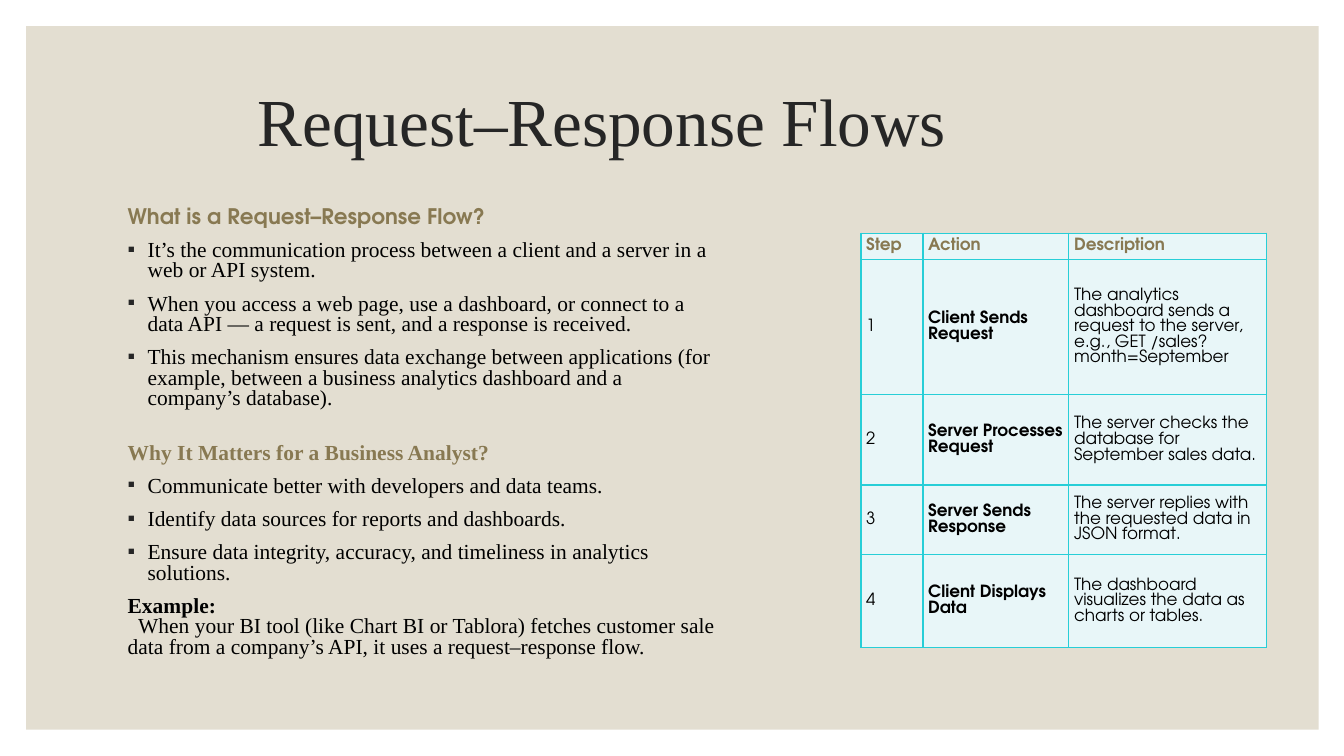
"""Build the Request–Response Flows slide."""
from dataclasses import dataclass

from lxml.etree import SubElement
from pptx import Presentation
from pptx.dml.color import RGBColor as Rgb
from pptx.enum.shapes import MSO_SHAPE as Preset
from pptx.enum.text import MSO_ANCHOR as Anchor
from pptx.enum.text import MSO_AUTO_SIZE as AutoSize
from pptx.enum.text import PP_ALIGN as Align
from pptx.oxml.ns import qn
from pptx.util import Pt

PX = 9525


@dataclass(frozen=True)
class Theme:
    """Colours, fonts and type sizes."""
    panel: str = "E3DED1"
    ink: str = "262626"
    black: str = "000000"
    accent: str = "887952"
    cell: str = "E8F6F8"
    border: str = "27CED7"
    serif: str = "Times New Roman"
    sans: str = "TeX Gyre Adventor"
    title_size: float = 48
    body_size: float = 15.3
    table_size: float = 12


THEME = Theme()


@dataclass(frozen=True)
class Style:
    """Look of one run."""
    size: float
    font: str = THEME.serif
    colour: str = THEME.black
    bold: bool = False


@dataclass(frozen=True)
class Entry:
    """One paragraph of the body."""
    text: str
    style: Style
    bullet: bool = False
    before: float = 9
    indent: int = 0
    tab: int = 0


@dataclass(frozen=True)
class Step:
    """One row of the table."""
    number: str
    action: str
    description: str


TITLE = Style(THEME.title_size, colour=THEME.ink)
PLAIN = Style(THEME.body_size)
STRONG = Style(THEME.body_size, bold=True)
HEADING = Style(THEME.body_size, colour=THEME.accent, bold=True)
SANS_HEADING = Style(THEME.body_size, THEME.sans, THEME.accent, True)
COLUMN_HEAD = Style(THEME.table_size, THEME.sans, THEME.accent, True)
CELL = Style(THEME.table_size, THEME.sans)
CELL_STRONG = Style(THEME.table_size, THEME.sans, bold=True)

ENTRIES = [
    Entry("What is a Request–Response Flow?", SANS_HEADING, before=0),
    Entry("It’s the communication process between a client and a server in a web or API system.",
          PLAIN, True),
    Entry("When you access a web page, use a dashboard, or connect to a data API — "
          "a request is sent, and a response is received.", PLAIN, True),
    Entry("This mechanism ensures data exchange between applications (for example, "
          "between a business analytics dashboard and a company’s database).", PLAIN, True),
    Entry("Why It Matters for a Business Analyst?", HEADING, before=24),
    Entry("Communicate better with developers and data teams.", PLAIN, True),
    Entry("Identify data sources for reports and dashboards.", PLAIN, True),
    Entry("Ensure data integrity, accuracy, and timeliness in analytics solutions.", PLAIN, True),
    Entry("Example:", STRONG),
    Entry("When your BI tool (like Chart BI or Tablora) fetches customer sale\tdata from "
          "a company’s API, it uses a request–response flow.", PLAIN,
          before=0, indent=10, tab=73),
]
HEADER = Step("Step", "Action", "Description")
STEPS = [
    Step("1", "Client Sends Request", "The analytics dashboard sends a request to the server, "
         "e.g., GET /sales?month=September"),
    Step("2", "Server Processes Request",
         "The server checks the database for September sales data."),
    Step("3", "Server Sends Response",
         "The server replies with the requested data in JSON format."),
    Step("4", "Client Displays Data", "The dashboard visualizes the data as charts or tables."),
]
COLUMNS = [59, 139, 188]
ROWS = [25, 129, 86, 66, 89]


def place(shape, left: int, top: int, width: int, height: int) -> None:
    """Move and size a shape in px."""
    shape.left, shape.top = left * PX, top * PX
    shape.width, shape.height = width * PX, height * PX


def add_span(para, text: str, style: Style) -> None:
    """Add one formatted run."""
    span = para.add_run()
    span.text = text
    span.font.size = Pt(style.size)
    span.font.name = style.font
    span.font.bold = style.bold
    span.font.color.rgb = Rgb.from_string(style.colour)


def set_indent(para, margin: int, indent: int, bullet: bool = False, tab: int = 0) -> None:
    """Set the indents, the bullet and the tab stop of a paragraph."""
    props = para._p.get_or_add_pPr()
    props.set("marL", str(margin * PX))
    props.set("indent", str(indent * PX))
    if bullet:
        SubElement(SubElement(props, qn("a:buClr")), qn("a:srgbClr"), val=THEME.ink)
        SubElement(props, qn("a:buChar"), char="▪")
    else:
        SubElement(props, qn("a:buNone"))
    if tab:
        SubElement(SubElement(props, qn("a:tabLst")), qn("a:tab"), pos=str(tab * PX), algn="l")


def draw_panel(page) -> None:
    """Draw the panel behind the text."""
    panel = page.shapes.add_shape(Preset.RECTANGLE, 25 * PX, 25 * PX, 1231 * PX, 670 * PX)
    panel.shadow.inherit = False
    panel.fill.solid()
    panel.fill.fore_color.rgb = Rgb.from_string(THEME.panel)
    panel.line.fill.background()
    page.shapes.title._element.addprevious(panel._element)


def fill_title(title) -> None:
    """Write the title."""
    place(title, 112, 67, 1056, 103)
    frame = title.text_frame
    frame.auto_size, frame.word_wrap = AutoSize.NONE, True
    frame.vertical_anchor = Anchor.MIDDLE
    para = frame.paragraphs[0]
    set_indent(para, 0, 124)
    para.alignment, para.line_spacing = Align.LEFT, 0.9
    add_span(para, "Request–Response Flows", TITLE)


def fill_body(body, entries: list[Entry]) -> None:
    """Write the headings and lists."""
    place(body, 112, 193, 579, 447)
    frame = body.text_frame
    frame.auto_size, frame.word_wrap = AutoSize.NONE, True
    frame.vertical_anchor = Anchor.TOP
    for index, entry in enumerate(entries):
        para = frame.add_paragraph() if index else frame.paragraphs[0]
        margin, indent = (19, -19) if entry.bullet else (0, entry.indent)
        set_indent(para, margin, indent, entry.bullet, entry.tab)
        para.line_spacing, para.space_before = 0.8, Pt(entry.before)
        add_span(para, entry.text, entry.style)


def fill_cell(cell, text: str, style: Style) -> None:
    """Write, fill and border one table cell."""
    cell.margin_left = cell.margin_right = 5 * PX
    cell.margin_top = cell.margin_bottom = 2 * PX
    cell.vertical_anchor = Anchor.MIDDLE
    add_span(cell.text_frame.paragraphs[0], text, style)
    props = cell._tc.get_or_add_tcPr()
    for side in ("a:lnL", "a:lnR", "a:lnT", "a:lnB"):
        line = SubElement(props, qn(side), w=str(Pt(1)))
        SubElement(SubElement(line, qn("a:solidFill")), qn("a:srgbClr"), val=THEME.border)
    cell.fill.solid()
    cell.fill.fore_color.rgb = Rgb.from_string(THEME.cell)


def draw_table(page, steps: list[Step]) -> None:
    """Draw the table of steps."""
    table = page.shapes.add_table(len(ROWS), len(COLUMNS), 820 * PX, 222 * PX,
                                  sum(COLUMNS) * PX, sum(ROWS) * PX).table
    table.first_row = table.horz_banding = False
    for column, width in zip(table.columns, COLUMNS):
        column.width = width * PX
    for row, height, step in zip(table.rows, ROWS, [HEADER, *steps]):
        row.height = height * PX
        styles = [COLUMN_HEAD] * 3 if step is HEADER else [CELL, CELL_STRONG, CELL]
        texts = [step.number, step.action, step.description]
        for cell, text, style in zip(row.cells, texts, styles):
            fill_cell(cell, text, style)


def main() -> None:
    """Build and save the deck."""
    deck = Presentation()
    deck.slide_width, deck.slide_height = 1280 * PX, 720 * PX
    page = deck.slides.add_slide(deck.slide_layouts[1])
    draw_panel(page)
    fill_title(page.shapes.title)
    fill_body(page.placeholders[1], ENTRIES)
    draw_table(page, STEPS)
    deck.save("out.pptx")


if __name__ == "__main__":
    main()
